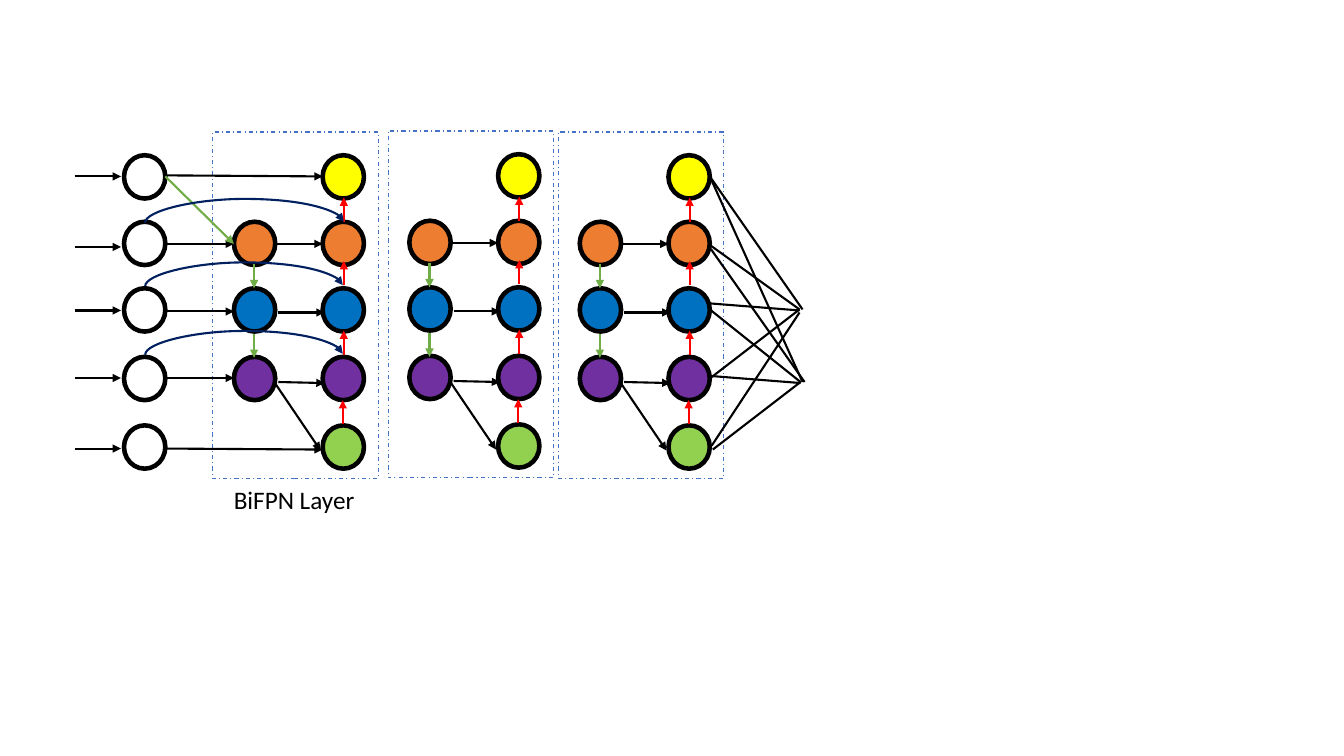
from typing import NamedTuple

from lxml import etree
from pptx import Presentation
from pptx.dml.color import RGBColor
from pptx.enum.dml import MSO_LINE
from pptx.enum.shapes import MSO_CONNECTOR, MSO_SHAPE
from pptx.enum.text import MSO_AUTO_SIZE
from pptx.oxml.ns import qn
from pptx.util import Inches, Pt

STRAIGHT, CURVE = MSO_CONNECTOR.STRAIGHT, MSO_CONNECTOR.CURVE
OVAL, RECT = MSO_SHAPE.OVAL, MSO_SHAPE.RECTANGLE
DASH_DOT = MSO_LINE.DASH_DOT
FIT = MSO_AUTO_SIZE.SHAPE_TO_FIT_TEXT

BLACK = RGBColor(0x00, 0x00, 0x00)
ORANGE = RGBColor(0xED, 0x7D, 0x31)
BLUE = RGBColor(0x00, 0x70, 0xC0)
PURPLE = RGBColor(0x70, 0x30, 0xA0)
YELLOW = RGBColor(0xFF, 0xFF, 0x00)
LIME = RGBColor(0x92, 0xD0, 0x50)
GREEN = RGBColor(0x70, 0xAD, 0x47)
NAVY = RGBColor(0x00, 0x20, 0x60)
RED = RGBColor(0xFF, 0x00, 0x00)
FRAME = RGBColor(0x44, 0x72, 0xC4)


class Node(NamedTuple):
    x: float
    y: float
    fill: RGBColor | None = None


class Link(NamedTuple):
    x1: float
    y1: float
    x2: float
    y2: float
    color: RGBColor = BLACK
    head: bool = True


class Layer(NamedTuple):
    dx: float
    dy: float


ROWS = (1.54, 2.2, 2.86, 3.54, 4.22)
FILLS = (YELLOW, ORANGE, BLUE, PURPLE, LIME)
LAYERS = (Layer(0, 0), Layer(1.74, -0.01), Layer(3.43, 0))

INPUTS = [Node(1.23, y) for y in ROWS]
MIDS = [Node(2.32, y, c) for y, c in zip(ROWS[1:4], FILLS[1:4])]
OUTS = [Node(3.2, y, c) for y, c in zip(ROWS, FILLS)]

ACROSS = [Link(2.73, 2.42, 3.2, 2.42), Link(2.76, 3.1, 3.22, 3.1),
          Link(2.76, 3.79, 3.22, 3.8), Link(2.72, 3.79, 3.18, 4.47)]
DOWN = [Link(2.52, y, 2.52, y + 0.24, GREEN) for y in (2.62, 3.31)]
UP = [Link(x, y, x, y - 0.24, RED)
      for x, y in ((3.41, 2.2), (3.41, 2.83), (3.41, 3.52), (3.4, 4.21))]
ENTRY = [Link(0.74, y, 1.2, y) for y in (1.75, 2.45, 3.08, 3.75, 4.45)]
FEED = [Link(1.64, y, 2.32, y) for y in (2.42, 3.09, 3.75)]
SKIPS = [Link(1.64, 1.74, 3.2, 1.75), Link(1.65, 4.45, 3.2, 4.46),
         Link(1.64, 1.75, 2.32, 2.42, GREEN)]
ARCS = [Link(1.44, 2.21, 3.41, 2.2, NAVY), Link(1.44, 2.84, 3.4, 2.83, NAVY),
        Link(1.44, 3.52, 3.4, 3.51, NAVY)]
FAN = [Link(*ends, head=False) for ends in (
    (7.04, 1.75, 7.96, 3.07), (7.04, 2.43, 7.93, 3.07),
    (7.04, 3.01, 7.93, 3.08), (7.06, 3.74, 7.93, 3.07),
    (7.06, 4.42, 7.93, 3.1), (7.05, 2.47, 7.98, 3.79),
    (7.04, 3.07, 7.94, 3.79), (7.05, 3.73, 7.94, 3.8),
    (7.07, 4.46, 7.94, 3.79), (7.04, 1.75, 7.96, 3.79))]


def apply(target, values: dict) -> None:
    """Set each named value on the target."""
    for name, value in values.items():
        setattr(target, name, value)


def draw_shape(slide, kind, box: tuple, fill, edge: RGBColor, style: dict) -> None:
    """Draw a preset shape with the given fill and outline."""
    shape = slide.shapes.add_shape(kind, *map(Inches, box))
    shape.shadow.inherit = False
    if fill is None:
        shape.fill.background()
    else:
        shape.fill.solid()
        shape.fill.fore_color.rgb = fill
    shape.line.color.rgb = edge
    apply(shape.line, style)


def draw_node(slide, node: Node, layer: Layer = LAYERS[0]) -> None:
    """Draw one round node, moved to its layer."""
    box = (node.x + layer.dx, node.y + layer.dy, 0.41, 0.43)
    draw_shape(slide, OVAL, box, node.fill, BLACK, {"width": Pt(3.25)})


def draw_link(slide, link: Link, layer: Layer = LAYERS[0], kind=STRAIGHT):
    """Draw one line, with an arrowhead if asked, moved to its layer."""
    ends = (link.x1 + layer.dx, link.y1 + layer.dy,
            link.x2 + layer.dx, link.y2 + layer.dy)
    line = slide.shapes.add_connector(kind, *map(Inches, ends))
    line.line.color.rgb = link.color
    line.line.width = Pt(1.5)
    props = line._element.spPr
    if link.head:
        tail = etree.SubElement(props.find(qn("a:ln")), qn("a:tailEnd"))
        tail.set("type", "triangle")
    etree.SubElement(props, qn("a:effectLst"))
    return line


def draw_arc(slide, arc: Link) -> None:
    """Draw a curved arrow that bows upward between two nodes."""
    x, y = (arc.x1 + arc.x2) / 2, (arc.y1 + arc.y2) / 2
    half, rise = (arc.x2 - arc.x1) / 2, (arc.y1 - arc.y2) / 2
    turned = arc._replace(x1=x + rise, y1=y + half, x2=x - rise, y2=y - half)
    props = draw_link(slide, turned, kind=CURVE)._element.spPr
    props.find(qn("a:xfrm")).set("rot", "5400000")
    guides = props.find(qn("a:prstGeom")).find(qn("a:avLst"))
    bow = etree.SubElement(guides, qn("a:gd"))
    bow.set("name", "adj1")
    bow.set("fmla", "val 2400000")


def draw_layer(slide, layer: Layer) -> None:
    """Draw the nodes, arrows and frame of one layer."""
    for node in MIDS + OUTS:
        draw_node(slide, node, layer)
    for link in ACROSS + DOWN + UP:
        draw_link(slide, link, layer)
    box = (2.11 + layer.dx, 1.31 + layer.dy, 1.64, 3.44)
    draw_shape(slide, RECT, box, None, FRAME,
               {"width": Pt(0.75), "dash_style": DASH_DOT})


def draw_label(slide, text: str, box: tuple) -> None:
    """Write the layer label."""
    frame = slide.shapes.add_textbox(*map(Inches, box)).text_frame
    apply(frame, {"word_wrap": False, "auto_size": FIT})
    run = frame.paragraphs[0].add_run()
    run.text = text
    apply(run.font, {"name": "Calibri", "size": Pt(18)})
    run.font.color.rgb = BLACK


def main() -> None:
    """Build the slide and save it."""
    deck = Presentation()
    apply(deck, {"slide_width": Inches(13.33), "slide_height": Inches(7.5)})
    slide = deck.slides.add_slide(deck.slide_layouts[6])
    for node in INPUTS:
        draw_node(slide, node)
    for layer in LAYERS:
        draw_layer(slide, layer)
    for link in ENTRY + FEED + SKIPS + FAN:
        draw_link(slide, link)
    for arc in ARCS:
        draw_arc(slide, arc)
    draw_label(slide, "BiFPN Layer", (2.22, 4.76, 1.41, 0.4))
    deck.save("out.pptx")


main()
